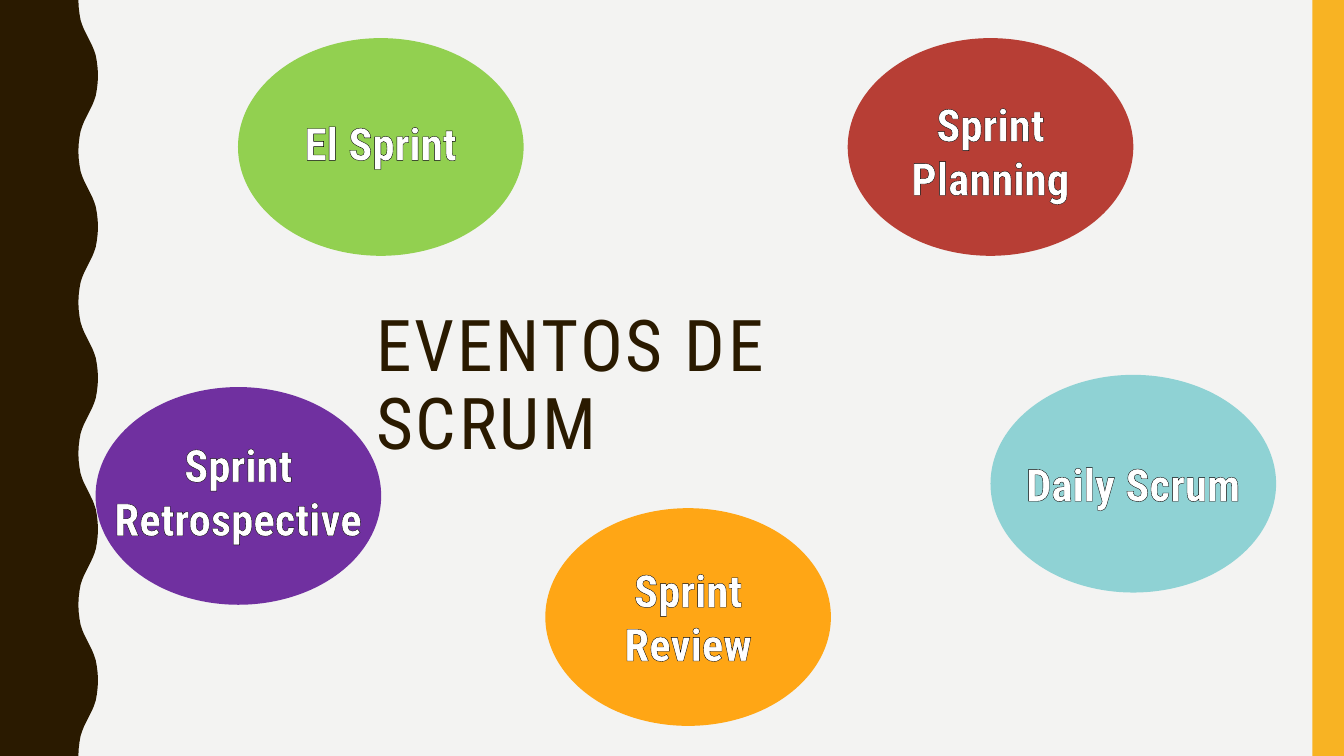
from lxml import etree
from pptx import Presentation
from pptx import util as u
from pptx.dml import color
from pptx.enum import shapes, text
from pptx.oxml import ns

FONT = "Roboto Condensed"
WIDTH, HEIGHT = 960, 540
OVAL_WIDTH, OVAL_HEIGHT = 204, 155.5
WAVE_PERIOD = 108
HALF_WAVE = [(56, 0), (56.2, 5), (56.8, 10), (57.6, 14.4), (58.8, 18), (60, 21), (61.5, 24),
             (64.5, 30), (66, 33), (67.2, 36), (68.4, 39.6), (69.2, 44), (69.8, 49), (70, 54)]
EVENTS = [
    ("El Sprint", "92D050", 170, 27.25, 138, 46, -3),
    ("Sprint Planning", "B73E35", 605.5, 27.25, 163, 85, 3),
    ("Sprint Review", "FFA615", 389.5, 363, 121, 85, 0),
    ("Sprint Retrospective", "7030A0", 68.25, 276.5, 261, 85, -3),
    ("Daily Scrum", "8FD2D4", 707.5, 267.75, 171, 46, 0),
]


def rgb(value):
    return color.RGBColor.from_string(value)


def paint(shape, fill):
    shape.shadow.inherit = False
    shape.fill.solid()
    shape.fill.fore_color.rgb = rgb(fill)
    shape.line.fill.background()


def write(shape, content, size, fill, bold=False, align=text.PP_ALIGN.LEFT,
          line_spacing=1.0, spacing=0, outline=None):
    frame = shape.text_frame
    frame.word_wrap = True
    frame.auto_size = text.MSO_AUTO_SIZE.NONE
    frame.vertical_anchor = text.MSO_ANCHOR.TOP
    paragraph = frame.paragraphs[0]
    paragraph.alignment = align
    paragraph.line_spacing = line_spacing
    run = paragraph.add_run()
    run.text = content
    font = run.font
    font.name, font.size, font.bold = FONT, u.Pt(size), bold
    font.color.rgb = rgb(fill)
    properties = run._r.get_or_add_rPr()
    if spacing:
        properties.set("spc", str(spacing * 100))
    if outline:
        line = etree.Element(ns.qn("a:ln"), w=str(u.Pt(0.8)))
        solid = etree.SubElement(line, ns.qn("a:solidFill"))
        etree.SubElement(solid, ns.qn("a:srgbClr"), val=outline)
        properties.insert(0, line)


def add_wavy_edge(slide, left, top, height):
    mirrored = [(x, WAVE_PERIOD - y) for x, y in reversed(HALF_WAVE[:-1])]
    edge = [(x, y + start) for start in range(0, height, WAVE_PERIOD)
            for x, y in HALF_WAVE + mirrored]
    points = [(u.Pt(left + x), u.Pt(top + y)) for x, y in edge + [(0, height)]]
    builder = slide.shapes.build_freeform(u.Pt(left), u.Pt(top))
    builder.add_line_segments(points, close=True)
    paint(builder.convert_to_shape(), "2A1A00")


def add_side_bar(slide, left, top, width, height):
    bar = slide.shapes.add_shape(shapes.MSO_SHAPE.RECTANGLE,
                                 u.Pt(left), u.Pt(top), u.Pt(width), u.Pt(height))
    paint(bar, "F8B323")


def add_title(slide, left, top, width, height):
    title = slide.shapes.title
    title.left, title.top = u.Pt(left), u.Pt(top)
    title.width, title.height = u.Pt(width), u.Pt(height)
    write(title, "EVENTOS DE SCRUM", 51, "2A1A00", line_spacing=0.9, spacing=2)


def add_event(slide, name, fill, left, top, label_width, label_height, label_shift):
    oval = slide.shapes.add_shape(shapes.MSO_SHAPE.OVAL, u.Pt(left), u.Pt(top),
                                  u.Pt(OVAL_WIDTH), u.Pt(OVAL_HEIGHT))
    paint(oval, fill)
    label_left = left + (OVAL_WIDTH - label_width) / 2
    label_top = top + (OVAL_HEIGHT - label_height) / 2 + label_shift
    label = slide.shapes.add_textbox(u.Pt(label_left), u.Pt(label_top),
                                     u.Pt(label_width), u.Pt(label_height))
    write(label, name, 32, "FFFFFF", bold=True, align=text.PP_ALIGN.CENTER, outline="000000")


def main():
    presentation = Presentation()
    presentation.slide_width, presentation.slide_height = u.Pt(WIDTH), u.Pt(HEIGHT)
    slide = presentation.slides.add_slide(presentation.slide_layouts[5])
    slide.background.fill.solid()
    slide.background.fill.fore_color.rgb = rgb("F3F3F2")
    add_wavy_edge(slide, 0, 0, HEIGHT)
    add_side_bar(slide, 937.5, 0, 22.5, HEIGHT)
    add_title(slide, 261.5, 218, 446.5, 66)
    for event in EVENTS:
        add_event(slide, *event)
    presentation.save("out.pptx")


if __name__ == "__main__":
    main()
